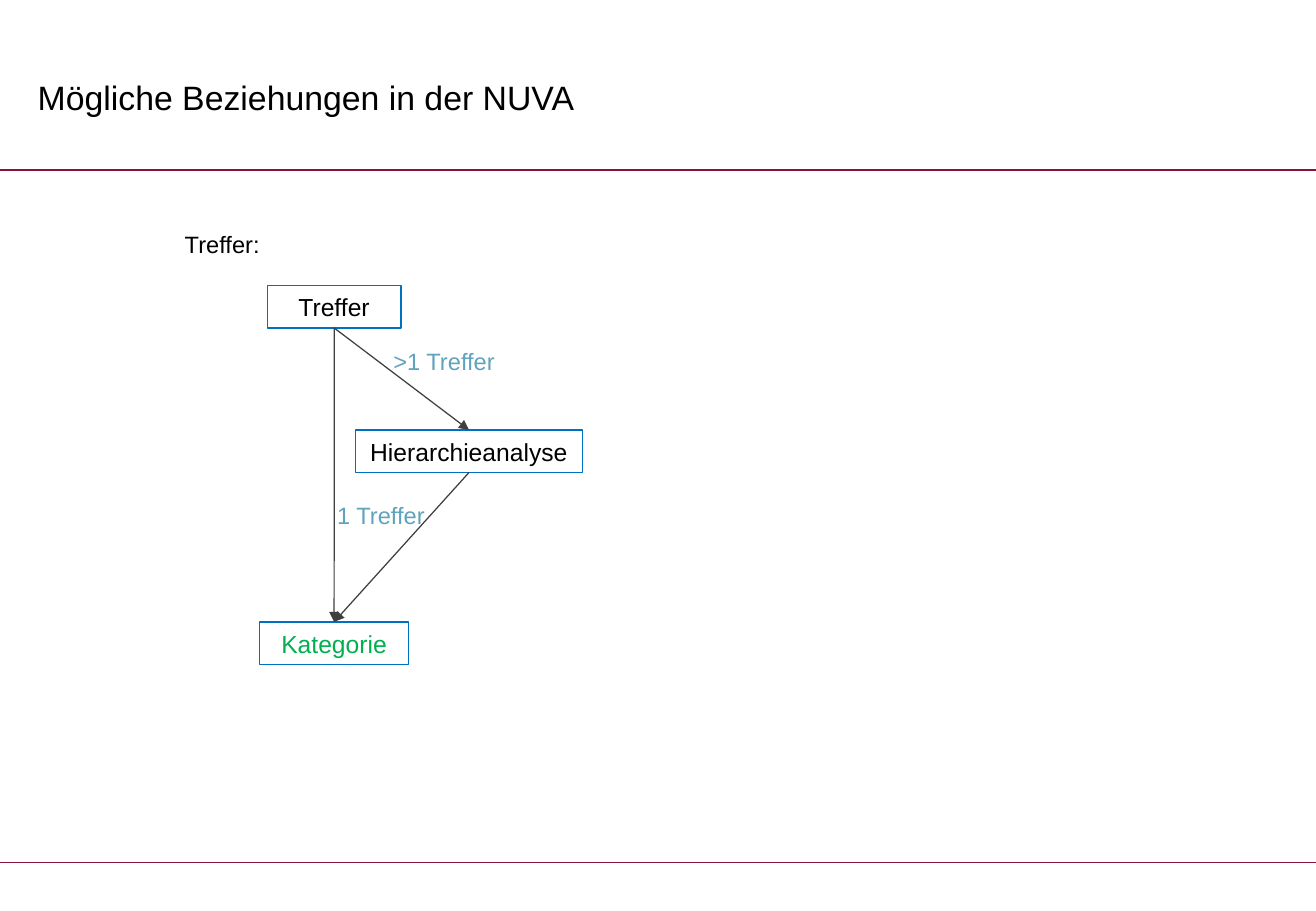
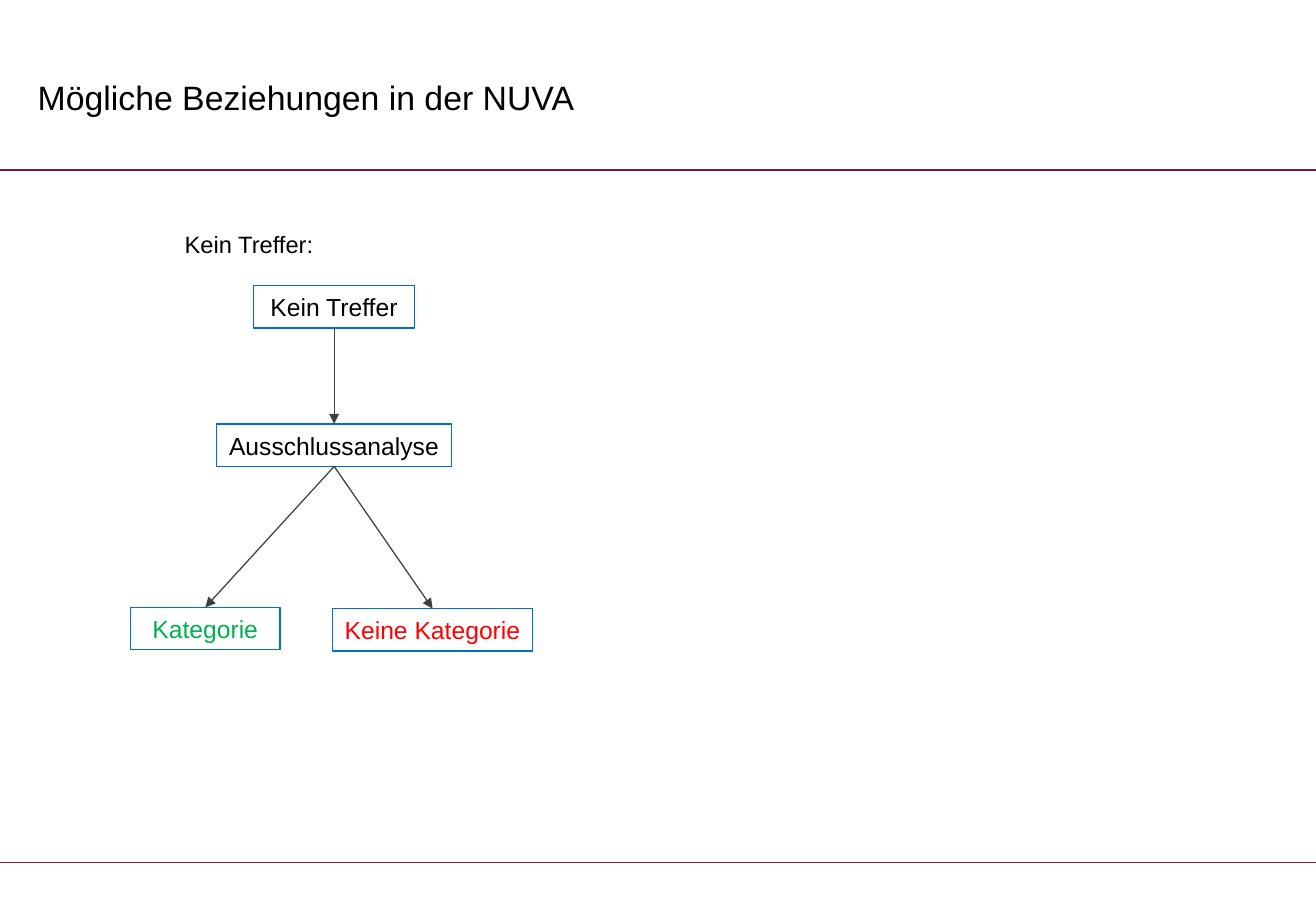
import pptx
import pptx.util
import pptx.dml.color
import pptx.enum.shapes
import pptx.enum.text
import pptx.oxml

Inches = pptx.util.Inches
Pt = pptx.util.Pt
ALIGN = pptx.enum.text.PP_ALIGN
ANCHOR = pptx.enum.text.MSO_ANCHOR
LINE = pptx.enum.shapes.MSO_CONNECTOR.STRAIGHT
RECT = pptx.enum.shapes.MSO_SHAPE.RECTANGLE
NS = 'xmlns:a="http://schemas.openxmlformats.org/drawingml/2006/main"'

# Shared look
BLACK, GREEN, RED = "000000", "00B050", "FF0000"
WINE, BLUE, GREY, TEAL = "841439", "0070C0", "3F3F3F", "60A3BC"
TITLE = "Mögliche Beziehungen in der NUVA"
WIDTH, HIGH = 10.83, 0.35
RULES = (1.4, 7.1)


def rgb(code):
    return pptx.dml.color.RGBColor.from_string(code)


def write(shape, text, size=14, color=BLACK, align=ALIGN.LEFT,
          anchor=ANCHOR.TOP, inset=0, wrap=True, before=0, lead=1.0):
    frame = shape.text_frame
    frame.word_wrap = wrap
    frame.vertical_anchor = anchor
    frame.margin_left = frame.margin_right = Inches(inset)
    frame.margin_top = frame.margin_bottom = Inches(inset / 2)
    para = frame.paragraphs[0]
    para.alignment = align
    para.space_before = Pt(before)
    para.line_spacing = lead
    run = para.add_run()
    run.text = text
    run.font.name = "Arial"
    run.font.size = Pt(size)
    run.font.color.rgb = rgb(color)


# Boxes: text, centre, top, width, colour
# Arrows: from box, to box; labels: text, left, top
pages = [
    {
        "head": "Treffer:",
        "boxes": [
            ("Treffer", 2.75, 2.35, 1.1, BLACK),
            ("Hierarchieanalyse", 3.86, 3.54, 1.87, BLACK),
            ("Kategorie", 2.75, 5.12, 1.23, GREEN),
        ],
        "arrows": [(0, 2), (0, 1), (1, 2)],
        "labels": [("1 Treffer", 2.52, 4.12), (">1 Treffer", 3.04, 2.86)],
    },
    {
        "head": "Kein Treffer:",
        "boxes": [
            ("Kein Treffer", 2.75, 2.35, 1.33, BLACK),
            ("Ausschlussanalyse", 2.75, 3.49, 1.93, BLACK),
            ("Kategorie", 1.69, 5, 1.23, GREEN),
            ("Keine Kategorie", 3.56, 5.01, 1.65, RED),
        ],
        "arrows": [(0, 1), (1, 2), (1, 3)],
        "labels": [],
    },
]

deck = pptx.Presentation()
deck.slide_width = Inches(WIDTH)
deck.slide_height = Inches(7.5)

for page in pages:
    slide = deck.slides.add_slide(deck.slide_layouts[5])
    shapes = slide.shapes

    # Title
    title = shapes.title
    title.left, title.top = Inches(0.31), Inches(0.36)
    title.width, title.height = Inches(8.15), Inches(0.92)
    write(title, TITLE, size=20, anchor=ANCHOR.MIDDLE, lead=0.9)

    # Rules below the title and above the foot
    lines = []
    for y in RULES:
        rule = shapes.add_connector(
            LINE, 0, Inches(y), Inches(WIDTH), Inches(y))
        lines.append((rule, WINE))

    # Heading
    head = shapes.add_textbox(
        Inches(1.52), Inches(1.89), Inches(1.85), Inches(0.31))
    write(head, page["head"], before=3)

    # Boxes
    boxes = []
    for text, mid, top, wide, color in page["boxes"]:
        box = shapes.add_shape(RECT, Inches(mid - wide / 2), Inches(top),
                               Inches(wide), Inches(HIGH))
        box.shadow.inherit = False
        box.fill.background()
        box.line.color.rgb = rgb(BLUE)
        box.line.width = Pt(0.75)
        write(box, text, size=14.6, color=color, align=ALIGN.CENTER,
              anchor=ANCHOR.MIDDLE, inset=0.1, wrap=False)
        boxes.append(box)

    # Arrows from bottom to top of the boxes
    for start, end in page["arrows"]:
        arrow = shapes.add_connector(LINE, 0, 0, 0, 0)
        arrow.begin_connect(boxes[start], 2)
        arrow.end_connect(boxes[end], 0)
        lines.append((arrow, GREY))

    # Line format
    for line, color in lines:
        line.line.color.rgb = rgb(color)
        line.line.width = Pt(0.75)
        props = line.element.spPr
        if color == GREY:
            props.get_or_add_ln().append(
                pptx.oxml.parse_xml(f'<a:tailEnd {NS} type="triangle"/>'))
        props.append(pptx.oxml.parse_xml(f"<a:effectLst {NS}/>"))

    # Labels on the arrows
    for text, left, top in page["labels"]:
        label = shapes.add_textbox(
            Inches(left), Inches(top), Inches(1.23), Inches(0.34))
        write(label, text, color=TEAL, align=ALIGN.CENTER, before=3)

deck.save("out.pptx")
